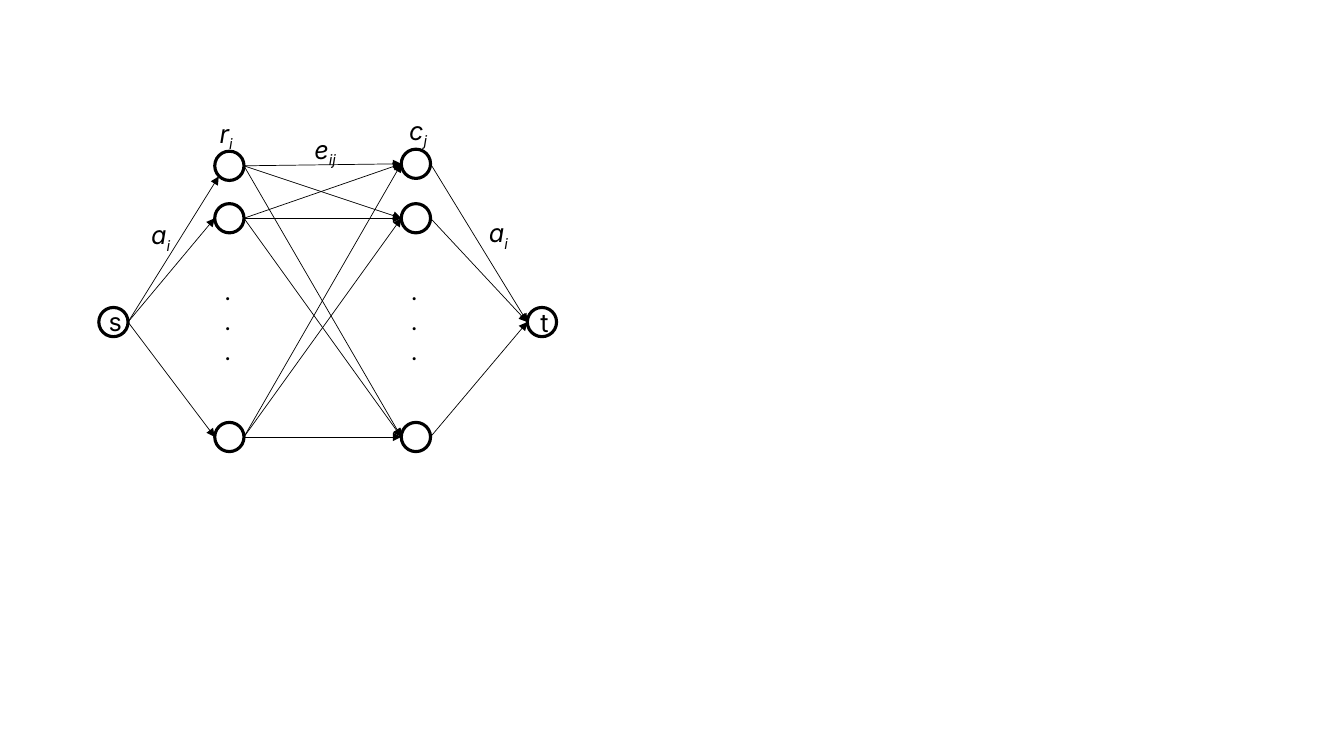
from itertools import product
from lxml import etree
from pptx import Presentation
from pptx.dml.color import RGBColor
from pptx.enum.shapes import MSO_CONNECTOR, MSO_SHAPE
from pptx.enum.text import MSO_AUTO_SIZE
from pptx.oxml.ns import qn
from pptx.util import Inches, Pt

STRAIGHT = MSO_CONNECTOR.STRAIGHT
OVAL = MSO_SHAPE.OVAL
FIT_SHAPE = MSO_AUTO_SIZE.SHAPE_TO_FIT_TEXT

THEME = {
    "ink": RGBColor(0, 0, 0),
    "paper": RGBColor(255, 255, 255),
    "label_font": "Inter",
    "dots_font": "Calibri",
    "text_size": Pt(18),
    "node_line": Pt(2.25),
    "edge_line": Pt(0.5),
}

# Content: top-left corners of the nodes, in inches
NODE_SIZE = 0.29
SOURCE = (0.98, 3.05)
SINK = (5.23, 3.05)
ROWS = [(2.13, top) for top in (1.5, 2.02, 4.19)]
COLUMNS = [(3.98, top) for top in (1.48, 2.02, 4.19)]

# Labels: base, subscript, left, top
LABELS = [
    ("s", "", 0.98, 2.99),
    ("t", "", 5.26, 3.0),
    ("e", "ij", 3.02, 1.28),
    ("a", "i", 1.4, 2.13),
    ("r", "i", 2.08, 1.12),
    ("c", "j", 3.96, 1.09),
    ("a", "i", 4.75, 2.11),
]
LABEL_SIZE = (0.45, 0.4)
DOTS_TOP, DOTS_HEIGHT = 2.68, 1.31

presentation = Presentation()
presentation.slide_width = Inches(13.33)
presentation.slide_height = Inches(7.5)
slide = presentation.slides.add_slide(presentation.slide_layouts[6])


def add_node(left, top):
    shape = slide.shapes.add_shape(
        OVAL, Inches(left), Inches(top), Inches(NODE_SIZE), Inches(NODE_SIZE))
    shape.shadow.inherit = False
    shape.fill.solid()
    shape.fill.fore_color.rgb = THEME["paper"]
    shape.line.color.rgb = THEME["ink"]
    shape.line.width = THEME["node_line"]


def left_of(node):
    return node[0], node[1] + NODE_SIZE / 2


def right_of(node):
    return node[0] + NODE_SIZE, node[1] + NODE_SIZE / 2


def lower_left_of(node):
    return node[0] + 0.04, node[1] + 0.25


def add_arrow(start, end):
    connector = slide.shapes.add_connector(
        STRAIGHT, *(Inches(value) for value in (*start, *end)))
    connector.line.color.rgb = THEME["ink"]
    connector.line.width = THEME["edge_line"]
    properties = connector._element.spPr
    etree.SubElement(properties.find(qn("a:ln")), qn("a:tailEnd"), type="triangle")
    etree.SubElement(properties, qn("a:effectLst"))


def add_text(lines, left, top, width, height, font, italic=False, subscript=""):
    box = slide.shapes.add_textbox(
        Inches(left), Inches(top), Inches(width), Inches(height))
    frame = box.text_frame
    frame.word_wrap = True
    frame.auto_size = FIT_SHAPE
    for index, line in enumerate(lines):
        paragraph = frame.add_paragraph() if index else frame.paragraphs[0]
        for text, baseline in ((line, None), (subscript, "-25000")):
            if not text:
                continue
            run = paragraph.add_run()
            run.text = text
            run.font.name = font
            run.font.size = THEME["text_size"]
            run.font.color.rgb = THEME["ink"]
            run.font.italic = italic
            if baseline:
                run.font._element.set("baseline", baseline)


# Nodes
for node in [SOURCE, *ROWS, *COLUMNS, SINK]:
    add_node(*node)

# Dots between the second and last node of each side
for left, _ in (ROWS[0], COLUMNS[0]):
    add_text([".", ".", "."], left, DOTS_TOP, NODE_SIZE, DOTS_HEIGHT,
             THEME["dots_font"])

# Edges: source to rows, every row to every column, columns to sink
for index, row in enumerate(ROWS):
    add_arrow(right_of(SOURCE), left_of(row) if index else lower_left_of(row))
for row, column in product(ROWS, COLUMNS):
    add_arrow(right_of(row), left_of(column))
for column in COLUMNS:
    add_arrow(right_of(column), left_of(SINK))

# Labels: those with a subscript are variables, set in italics
for base, subscript, left, top in LABELS:
    add_text([base], left, top, *LABEL_SIZE, THEME["label_font"],
             italic=bool(subscript), subscript=subscript)

presentation.save("out.pptx")
